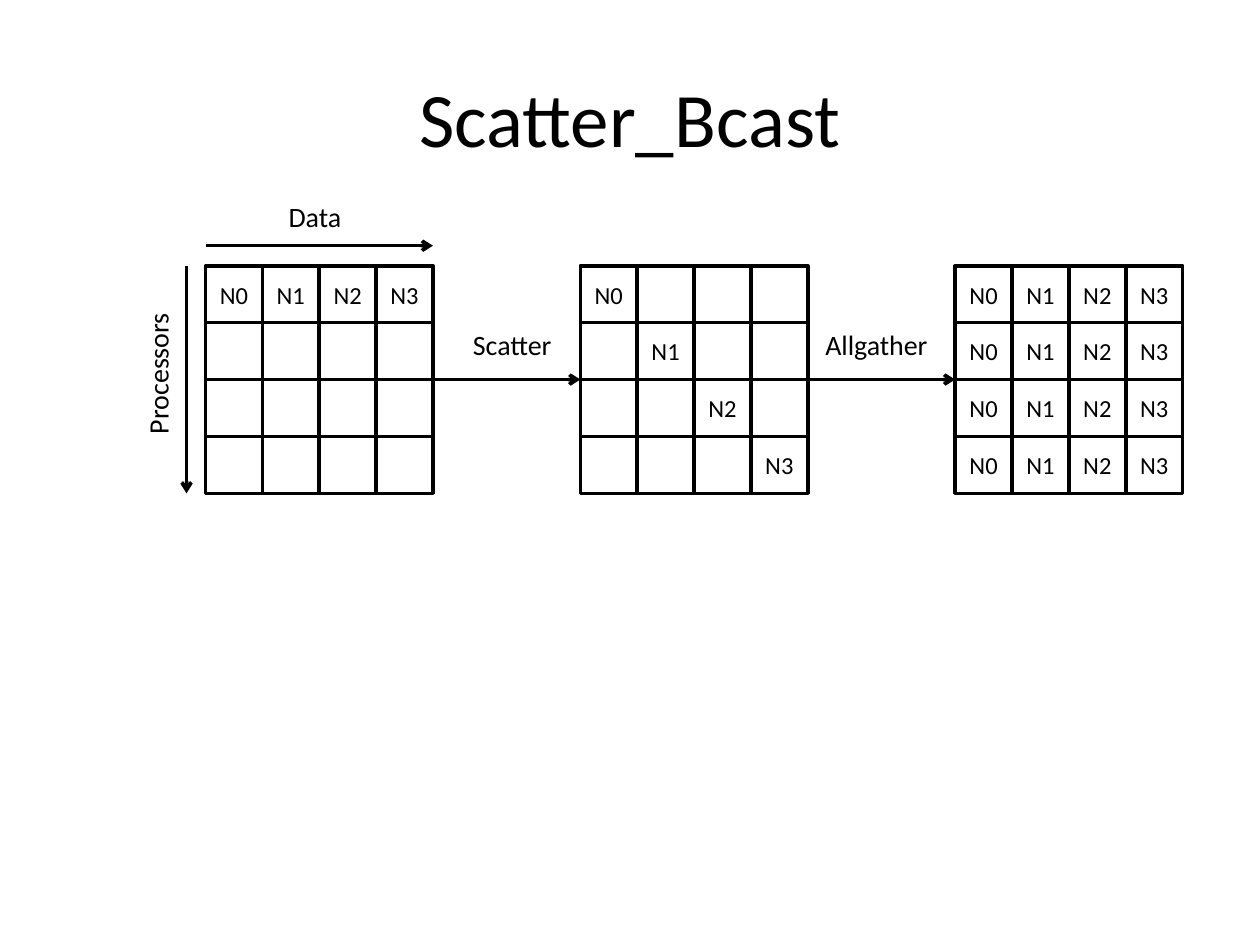
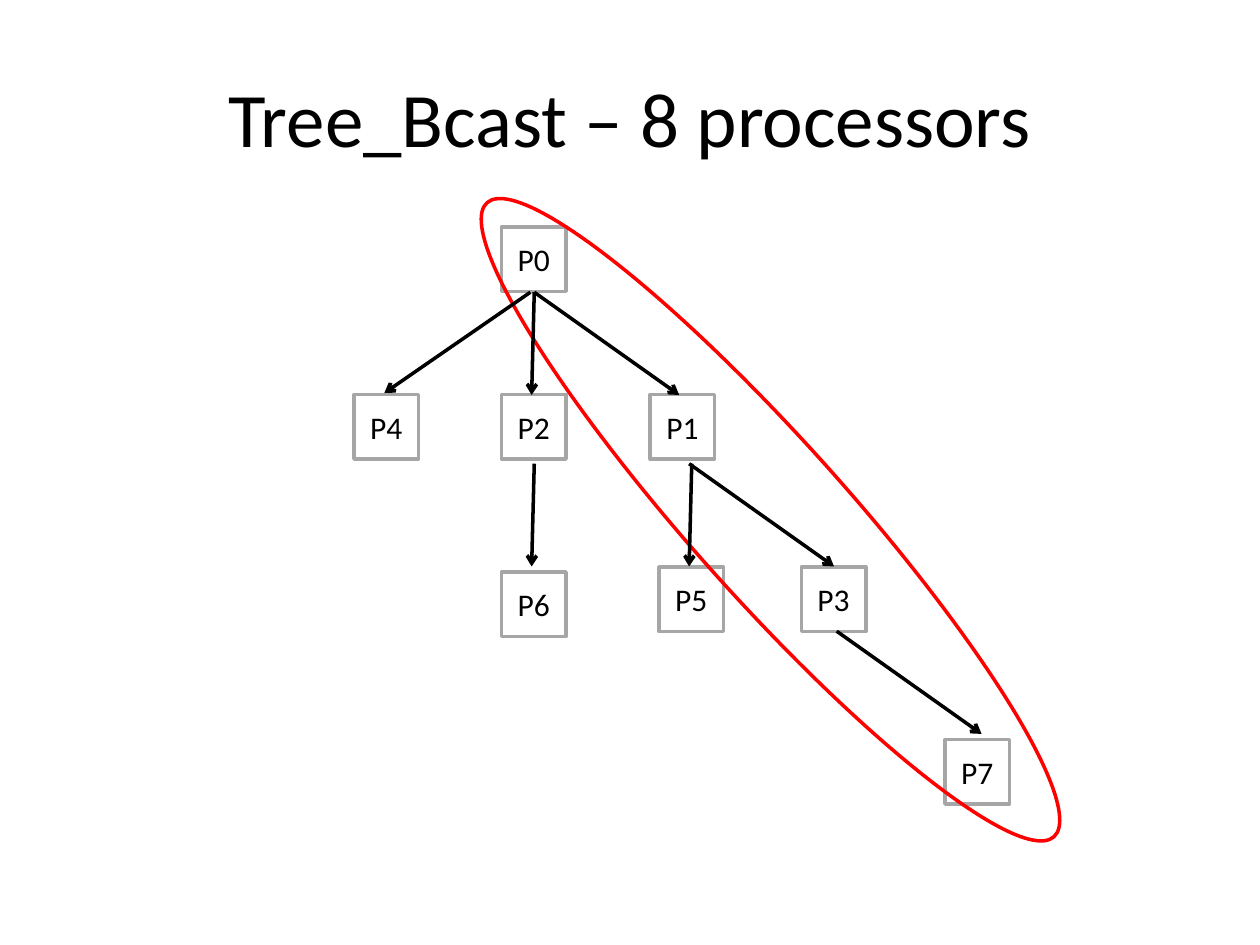
from lxml import etree
from pptx import Presentation
from pptx.dml.color import RGBColor
from pptx.enum.shapes import MSO_CONNECTOR, MSO_SHAPE
from pptx.enum.text import MSO_ANCHOR, PP_ALIGN
from pptx.oxml.ns import qn
from pptx.util import Pt

BLACK = RGBColor(0x00, 0x00, 0x00)
GREY = RGBColor(0xA6, 0xA6, 0xA6)
RED = RGBColor(0xFF, 0x00, 0x00)
FONT = "Calibri"
STROKE = 2
RECTANGLE, OVAL = MSO_SHAPE.RECTANGLE, MSO_SHAPE.OVAL
STRAIGHT = MSO_CONNECTOR.STRAIGHT
MIDDLE, CENTER = MSO_ANCHOR.MIDDLE, PP_ALIGN.CENTER
TITLE_ONLY = 5

TITLE_BOX = (36, 21.6, 648, 90)
CELL = 32.5
SIDE = 4 * CELL
MATRIX_LEFT, MATRIX_TOP, MATRIX_PITCH = 117.4, 151.9, 214.2
NODE = 36.9
TREE_LEFT, TREE_TOP = 202.3, 129.6

NAMES = ["N0", "N1", "N2", "N3"]
ROOT_ONLY = [NAMES] + [[""] * 4] * 3
SCATTERED = [[name if row == column else "" for column, name in enumerate(NAMES)]
             for row in range(4)]
GATHERED = [NAMES] * 4

PROCESSORS = {
    "P0": (84.3, 0), "P1": (169.2, 95.8), "P2": (84.3, 95.8), "P4": (0, 95.8),
    "P3": (255.6, 194.4), "P5": (174.3, 194.4), "P7": (337.7, 293),
    "P6": (84.3, 197.3),
}
RIGHT, DOWN, LEFT = (82.8, 58.7), (-1.5, 58.7), (-83.5, 57.6)
SENDS = [
    ((103, 37.4), RIGHT), ((103, 37.4), DOWN), ((100.8, 37.4), LEFT),
    ((191.5, 135.4), RIGHT), ((193, 135.4), DOWN), ((103, 135.4), DOWN),
    ((275.8, 231.1), RIGHT),
]


def write(shape, text, size, color=BLACK):
    """Put centred text into a shape."""
    frame = shape.text_frame
    frame.word_wrap = True
    frame.vertical_anchor = MIDDLE
    frame.margin_left = frame.margin_right = 0
    frame.margin_top = frame.margin_bottom = 0
    paragraph = frame.paragraphs[0]
    paragraph.alignment = CENTER
    run = paragraph.add_run()
    run.text = text
    run.font.name, run.font.size = FONT, Pt(size)
    run.font.color.rgb = color


def add_label(slide, box, text, rotation=0):
    """Add a free-standing caption."""
    label = slide.shapes.add_textbox(*map(Pt, box))
    label.rotation = rotation
    write(label, text, size=16)


def add_outline(slide, preset, box, color, text="", size=14, rotation=0):
    """Add an unfilled outlined shape with optional text."""
    outline = slide.shapes.add_shape(preset, *map(Pt, box))
    outline.shadow.inherit = False
    outline.fill.background()
    outline.line.color.rgb = color
    outline.line.width = Pt(STROKE)
    outline.rotation = rotation
    if text:
        write(outline, text, size=size)


def add_arrow(slide, start, step):
    """Draw an arrow from a start point along a step."""
    x, y = start
    dx, dy = step
    arrow = slide.shapes.add_connector(STRAIGHT, Pt(x), Pt(y), Pt(x + dx), Pt(y + dy))
    arrow.line.color.rgb = BLACK
    arrow.line.width = Pt(STROKE)
    etree.SubElement(arrow.line._get_or_add_ln(), qn("a:tailEnd"), type="arrow")
    etree.SubElement(arrow._element.spPr, qn("a:effectLst"))


def add_titled_slide(deck, title):
    """Add a title-only slide with the shared title style."""
    slide = deck.slides.add_slide(deck.slide_layouts[TITLE_ONLY])
    heading = slide.shapes.title
    heading.left, heading.top, heading.width, heading.height = map(Pt, TITLE_BOX)
    write(heading, title, size=44)
    return slide


def add_matrix(slide, left, top, rows):
    """Draw a grid of data blocks, one row for each processor."""
    for row, names in enumerate(rows):
        for column, name in enumerate(names):
            box = (left + column * CELL, top + row * CELL, CELL, CELL)
            add_outline(slide, RECTANGLE, box, BLACK, name)


def add_axes(slide, left, top):
    """Draw the data and processor axes of a matrix."""
    add_arrow(slide, (left + 0.5, top - 11.5), (SIDE - 0.5, 0))
    add_label(slide, (left + 6.4, top - 45.4, 112.3, 33.8), "Data")
    add_arrow(slide, (left - 10.8, top), (0, SIDE))
    add_label(slide, (left - 83.6, top + 44.7, 112.3, 33.8), "Processors", rotation=270)


def add_step(slide, left, top, name, label_shift):
    """Draw a named arrow from the matrix at left to the next one."""
    add_arrow(slide, (left + SIDE, top + SIDE / 2), (MATRIX_PITCH - SIDE, 0))
    add_label(slide, (left + SIDE + label_shift, top + 28.1, 90, 33.8), name)


def add_tree(slide, left, top):
    """Draw the broadcast tree with its longest path circled."""
    for name, (x, y) in PROCESSORS.items():
        add_outline(slide, RECTANGLE, (left + x, top + y, NODE, NODE), GREY, name, size=18)
    add_outline(slide, OVAL, (left + 193.7, top - 75.6, 88.6, 486), RED, rotation=318.2)
    for (x, y), step in SENDS:
        add_arrow(slide, (left + x, top + y), step)


def build_scatter_slide(deck):
    """Build the scatter and allgather slide."""
    slide = add_titled_slide(deck, "Scatter_Bcast")
    lefts = [MATRIX_LEFT + stage * MATRIX_PITCH for stage in range(3)]
    for left, rows in zip(lefts, [ROOT_ONLY, SCATTERED, GATHERED]):
        add_matrix(slide, left, MATRIX_TOP, rows)
    add_axes(slide, MATRIX_LEFT, MATRIX_TOP)
    add_step(slide, lefts[0], MATRIX_TOP, "Scatter", label_shift=0.3)
    add_step(slide, lefts[1], MATRIX_TOP, "Allgather", label_shift=-5.8)


def build_tree_slide(deck):
    """Build the tree broadcast slide."""
    slide = add_titled_slide(deck, "Tree_Bcast – 8 processors")
    add_tree(slide, TREE_LEFT, TREE_TOP)


def main():
    """Build and save the presentation."""
    deck = Presentation()
    deck.slide_width, deck.slide_height = Pt(720), Pt(540)
    build_scatter_slide(deck)
    build_tree_slide(deck)
    deck.save("out.pptx")


main()
